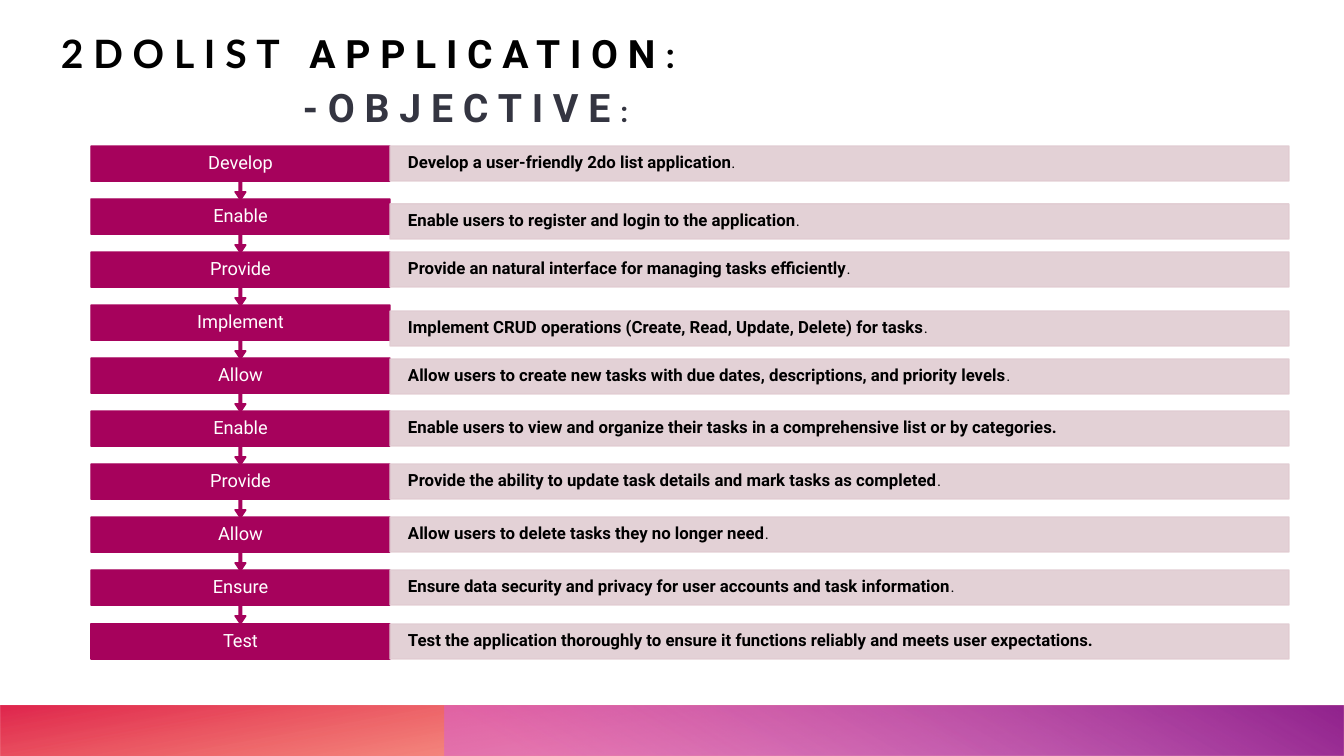
from lxml import etree
from pptx import Presentation
from pptx.dml.color import RGBColor
from pptx.enum.shapes import MSO_SHAPE
from pptx.enum.text import MSO_ANCHOR, PP_ALIGN
from pptx.oxml import parse_xml
from pptx.oxml.ns import nsdecls, qn
from pptx.util import Emu, Pt

SCALE = 914400 / 100.8
COLORS = {
    "ink": "000000", "heading": "343541", "white": "FFFFFF",
    "step": "A6025C", "detail": "E1CCD2",
    "orange": "FE4A00", "red": "DA002F", "pink": "D861D4", "purple": "92248E",
}
STEPS = [  # label, detail, closing mark in light type, drop of the detail bar
    ("Develop", "Develop a user-friendly 2do list application", ".", 0),
    ("Enable", "Enable users to register and login to the application", ".", 5),
    ("Provide", "Provide an natural interface for managing tasks efficiently", ".", 0),
    ("Implement", "Implement CRUD operations (Create, Read, Update, Delete) for tasks", ".", 6),
    ("Allow", "Allow users to create new tasks with due dates, descriptions, "
              "and priority levels", ".", 1),
    ("Enable", "Enable users to view and organize their tasks in a comprehensive "
               "list or by categories.", "", 0),
    ("Provide", "Provide the ability to update task details and mark tasks as "
                "completed", ".", 0),
    ("Allow", "Allow users to delete tasks they no longer need", ".", 0),
    ("Ensure", "Ensure data security and privacy for user accounts and task "
               "information", ".", 0),
    ("Test", "Test the application thoroughly to ensure it functions reliably "
             "and meets user expectations.", "", 0),
]


def px(value):
    """Convert pixels to EMU."""
    return Emu(round(value * SCALE))


def add_alpha(fill_owner, percent):
    """Make the solid colour inside an element partly transparent."""
    color = fill_owner.find(qn("a:solidFill")).find(qn("a:srgbClr"))
    etree.SubElement(color, qn("a:alpha"), val=str(percent * 1000))


class SlideBuilder:
    """Holds the slide and its style."""

    def __init__(self, slide, font="Roboto"):
        """Keep the slide and the default font."""
        self.slide = slide
        self.font = font

    def set_text(self, frame, runs, color, align=PP_ALIGN.LEFT, anchor=MSO_ANCHOR.MIDDLE,
                 inset=0, line_spacing=0.9, tracking=0):
        """Fill a frame with runs of (text, size, bold, font or None)."""
        frame.word_wrap = True
        frame.vertical_anchor = anchor
        frame.margin_left = frame.margin_right = px(inset)
        frame.margin_top = frame.margin_bottom = 0
        paragraph = frame.paragraphs[0]
        paragraph.alignment = align
        paragraph.line_spacing = line_spacing
        for text, size, bold, font in runs:
            run = paragraph.add_run()
            run.text = text
            run.font.size, run.font.bold = Pt(size), bold
            run.font.name = font or self.font
            run.font.color.rgb = RGBColor.from_string(COLORS[color])
            if tracking:
                run._r.get_or_add_rPr().set("spc", str(tracking * 100))

    def shape(self, kind, box):
        """Add a preset shape without shadow."""
        shape = self.slide.shapes.add_shape(kind, *map(px, box))
        shape.shadow.inherit = False
        return shape

    def bar(self, kind, box, color, opacity=100):
        """Add a shape with matching fill and outline."""
        bar = self.shape(kind, box)
        bar.fill.solid()
        bar.line.width = Pt(1)
        for target in (bar.fill.fore_color, bar.line.color):
            target.rgb = RGBColor.from_string(COLORS[color])
        if opacity < 100:
            properties = bar._element.spPr
            add_alpha(properties, opacity)
            add_alpha(properties.find(qn("a:ln")), opacity)
        return bar

    def gradient_band(self, box, stops, angle, rotation=0):
        """Add a mirrored footer band with stops of (position, colour, opacity)."""
        band = self.shape(MSO_SHAPE.RECTANGLE, box)
        band.line.fill.background()
        band.rotation = rotation
        properties = band._element.spPr
        properties.find(qn("a:xfrm")).set("flipH", "1")
        stop_xml = "".join(
            f'<a:gs pos="{position * 1000}"><a:srgbClr val="{COLORS[color]}">'
            f'<a:alpha val="{opacity * 1000}"/></a:srgbClr></a:gs>'
            for position, color, opacity in stops)
        properties.find(qn("a:prstGeom")).addnext(parse_xml(
            f'<a:gradFill {nsdecls("a")} rotWithShape="1"><a:gsLst>{stop_xml}</a:gsLst>'
            f'<a:lin ang="{angle * 60000}" scaled="0"/></a:gradFill>'))

    def title(self, box, runs):
        """Place and fill the title placeholder."""
        title = self.slide.shapes.title
        title.left, title.top, title.width, title.height = map(px, box)
        self.set_text(title.text_frame, runs, "heading", anchor=MSO_ANCHOR.BOTTOM, tracking=7)

    def heading(self, box, runs):
        """Add the application heading as a text box."""
        heading = self.slide.shapes.add_textbox(*map(px, box))
        self.set_text(heading.text_frame, runs, "ink", anchor=MSO_ANCHOR.BOTTOM, tracking=7)

    def step(self, top, label, detail, mark, drop, is_last):
        """Add one step label, its arrow to the next step, and its detail bar."""
        if is_last:
            label_bar = self.bar(MSO_SHAPE.RECTANGLE, (91, top, 299, 35), "step")
        else:
            label_bar = self.bar(MSO_SHAPE.DOWN_ARROW_CALLOUT, (91, top, 299, 54), "step")
            for index, value in enumerate((0.05, 0.1, 0.15, 0.65)):
                label_bar.adjustments[index] = value
        self.set_text(label_bar.text_frame, [(label, 13, False, None)], "white",
                      PP_ALIGN.CENTER, inset=21)
        detail_bar = self.bar(MSO_SHAPE.RECTANGLE, (390, top + drop, 899, 35), "detail", 90)
        runs = [(detail, 12, True, None)]
        if mark:
            runs.append((mark, 11, False, None))
        self.set_text(detail_bar.text_frame, runs, "ink", inset=18)


def main():
    """Build the objective slide."""
    deck = Presentation()
    deck.slide_width, deck.slide_height = px(1344), px(756)
    builder = SlideBuilder(deck.slides.add_slide(deck.slide_layouts[5]))
    builder.gradient_band((0, 706, 1344, 50), [(14, "orange", 28), (100, "red", 85)], 100, 180)
    builder.gradient_band((445, 706, 899, 50), [(9, "pink", 55), (99, "purple", 100)], 240)
    builder.title((303, 0, 1000, 131), [("-OBJECTIVE", 28, True, None), (":", 20, True, None)])
    last = len(STEPS) - 1
    for index in range(last, -1, -1):
        builder.step(146 + 478 * index // last, *STEPS[index], index == last)
    builder.heading((61, 20, 720, 57), [
        ("2DOLIST", 27.9, True, "Lato"), (" APPLICATION", 27.9, True, None),
        (":", 24, True, None)])
    deck.save("out.pptx")


main()
